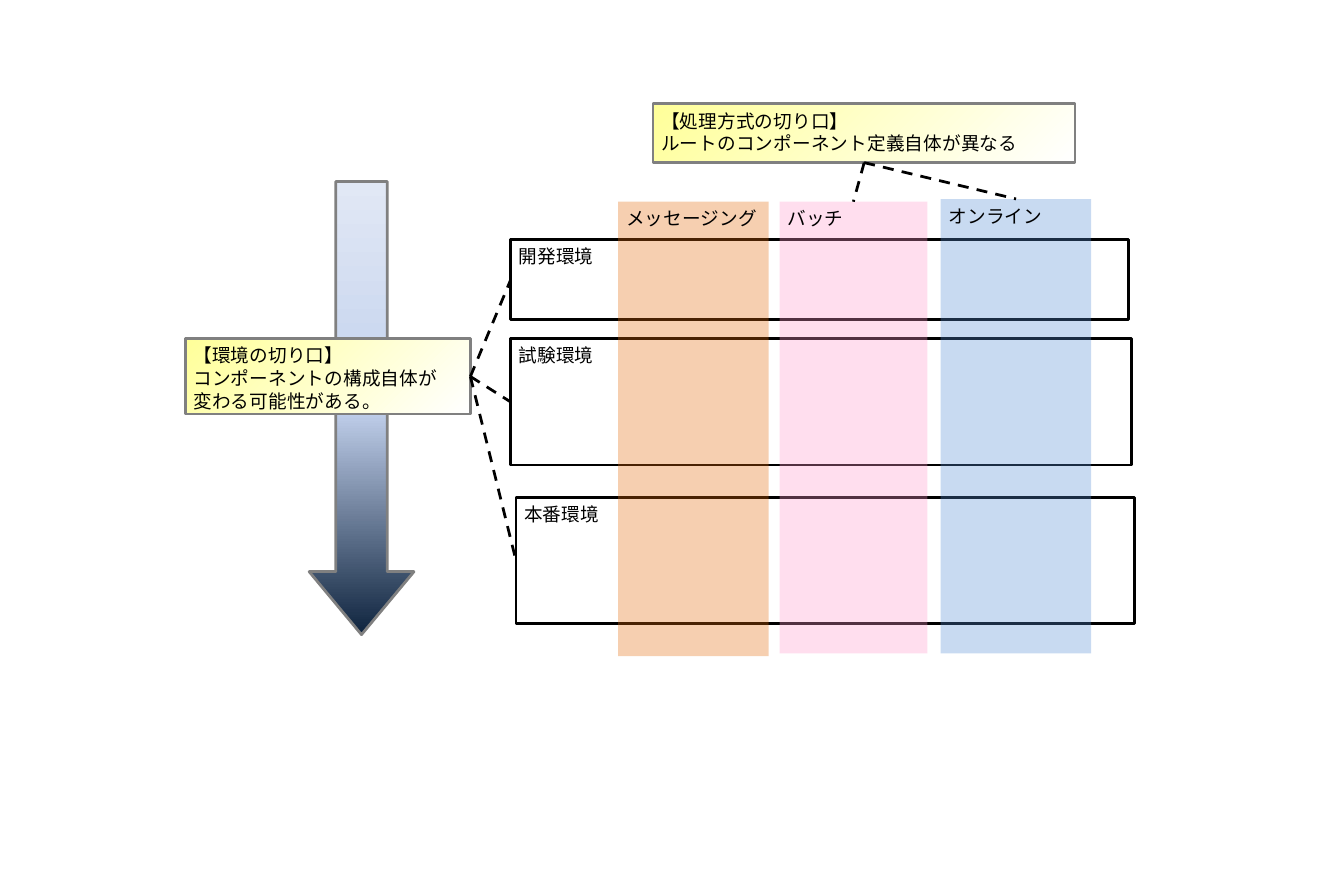
"""Build a slide crossing environments with processing styles."""
from copy import deepcopy
from typing import NamedTuple, Optional

from lxml import etree
from pptx import Presentation
from pptx import util as u
from pptx.dml.color import RGBColor
from pptx.enum import dml, shapes, text
from pptx.oxml.ns import qn

COLUMNS, ROWS = 500, 325
FONT = "Noto Sans CJK JP"
BLACK = RGBColor(0x00, 0x00, 0x00)
WHITE = RGBColor(0xFF, 0xFF, 0xFF)
GRAY = RGBColor(0x80, 0x80, 0x80)
YELLOW = RGBColor(0xFF, 0xFF, 0x99)
ORANGE = RGBColor(0xE4, 0x6C, 0x0A)
PINK = RGBColor(0xFF, 0x99, 0xCC)
BLUE = RGBColor(0x55, 0x8E, 0xD5)
NAVY = RGBColor(0x0F, 0x24, 0x3E)
SKY = RGBColor(0xC2, 0xD1, 0xED)
MIST = RGBColor(0xE1, 0xE8, 0xF5)
TOP, LEFT, BOTTOM, RIGHT = range(4)


class Area(NamedTuple):
    """Place on the grid of columns and rows."""

    column: float
    row: float
    columns: float
    rows: float


class Block(NamedTuple):
    """Labelled environment or processing style."""

    label: str
    area: Area
    color: RGBColor = WHITE


class Note(NamedTuple):
    """Remark with the line pitch of its first line."""

    lines: tuple[str, ...]
    area: Area
    first_pitch: Optional[float] = None


ENVIRONMENTS = (
    Block("開発環境", Area(190, 89, 230, 30)),
    Block("試験環境", Area(190, 126, 231, 47)),
    Block("本番環境", Area(192, 185, 230, 47)),
)
STYLES = (
    Block("メッセージング", Area(230, 75, 56, 169), ORANGE),
    Block("バッチ", Area(290, 75, 55, 168), PINK),
    Block("オンライン", Area(350, 74, 56, 169), BLUE),
)
STYLE_NOTE = Note(
    ("【処理方式の切り口】", "ルートのコンポーネント定義自体が異なる"),
    Area(243, 38.5, 157, 22), 6.1)
ENVIRONMENT_NOTE = Note(
    ("【環境の切り口】", "コンポーネントの構成自体が", "変わる可能性がある。"),
    Area(69, 126, 106, 28))
FLOW = Area(115, 67.5, 39, 168.5)

deck = Presentation()
deck.slide_width, deck.slide_height = u.Inches(5), u.Inches(3.25)
slide = deck.slides.add_slide(deck.slide_layouts[6])


def add_figure(area: Area, line: Optional[RGBColor] = None,
               preset=shapes.MSO_SHAPE.RECTANGLE):
    """Add a shape without shadow on the grid."""
    across, down = deck.slide_width / COLUMNS, deck.slide_height / ROWS
    figure = slide.shapes.add_shape(
        preset, round(area.column * across), round(area.row * down),
        round(area.columns * across), round(area.rows * down))
    figure.shadow.inherit = False
    if line is None:
        figure.line.fill.background()
    else:
        figure.line.color.rgb = line
        figure.line.width = u.Pt(0.75)
    return figure


def paint(figure, color: RGBColor, opacity: int = 100) -> None:
    """Fill a shape with one colour at an opacity in percent."""
    figure.fill.solid()
    figure.fill.fore_color.rgb = color
    if opacity < 100:
        tint = figure.fill._xPr.find(f".//{qn('a:srgbClr')}")
        etree.SubElement(tint, qn("a:alpha"), val=str(opacity * 1000))


def blend(figure, colors: tuple[RGBColor, ...], angle: float) -> None:
    """Fill a shape with evenly spaced gradient colours."""
    figure.fill.gradient()
    figure.fill.gradient_angle = angle
    stops = figure.fill._xPr.find(f".//{qn('a:gsLst')}")
    for _ in colors[2:]:
        stops.append(deepcopy(stops[-1]))
    for index, (stop, color) in enumerate(zip(figure.fill.gradient_stops, colors)):
        stop.color.rgb = color
        stop.position = index / (len(colors) - 1)


def write(figure, *lines: str, size: float = 5, color: RGBColor = BLACK,
          first_pitch: Optional[float] = None, pitch: float = 6.1) -> None:
    """Write left-aligned lines at the top of a shape."""
    frame = figure.text_frame
    frame.word_wrap = True
    frame.vertical_anchor = text.MSO_ANCHOR.TOP
    frame.margin_left, frame.margin_top = u.Inches(0.03), u.Inches(0.02)
    frame.margin_right = frame.margin_bottom = 0
    for index, line in enumerate(lines):
        paragraph = frame.add_paragraph() if index else frame.paragraphs[0]
        paragraph.alignment = text.PP_ALIGN.LEFT
        spacing = pitch if index else first_pitch
        if spacing:
            paragraph.line_spacing = u.Pt(spacing)
        run = paragraph.add_run()
        run.text = line
        run.font.size, run.font.name = u.Pt(size), FONT
        run.font.color.rgb = color
        etree.SubElement(run.font._element, qn("a:ea"), typeface=FONT)


def add_block(block: Block, line: Optional[RGBColor] = None, opacity: int = 100):
    """Add a labelled block."""
    figure = add_figure(block.area, line)
    paint(figure, block.color, opacity)
    write(figure, block.label)
    return figure


def add_note(note: Note):
    """Add a yellow remark."""
    figure = add_figure(note.area, GRAY)
    blend(figure, (YELLOW, WHITE), 315)
    write(figure, *note.lines, first_pitch=note.first_pitch)
    return figure


def join(start, start_side: int, end, end_side: int) -> None:
    """Join the side middles of two shapes with a dashed line."""
    link = slide.shapes.add_connector(shapes.MSO_CONNECTOR.STRAIGHT, 0, 0, 0, 0)
    link.begin_connect(start, start_side)
    link.end_connect(end, end_side)
    link.line.color.rgb = BLACK
    link.line.width = u.Pt(0.75)
    link.line.dash_style = dml.MSO_LINE.DASH
    etree.SubElement(link._element.spPr, qn("a:effectLst"))


def main() -> None:
    """Draw the slide and save it."""
    environments = [add_block(block, line=BLACK) for block in ENVIRONMENTS]
    flow = add_figure(FLOW, GRAY, shapes.MSO_SHAPE.DOWN_ARROW)
    flow.adjustments[0], flow.adjustments[1] = 0.49, 0.6
    blend(flow, (NAVY, SKY, MIST), 90)
    styles = [add_block(block, opacity=32) for block in STYLES]
    style_note = add_note(STYLE_NOTE)
    environment_note = add_note(ENVIRONMENT_NOTE)
    for style in styles[1:]:
        join(style_note, BOTTOM, style, TOP)
    for environment in environments:
        join(environment_note, RIGHT, environment, LEFT)
    deck.save("out.pptx")


if __name__ == "__main__":
    main()
